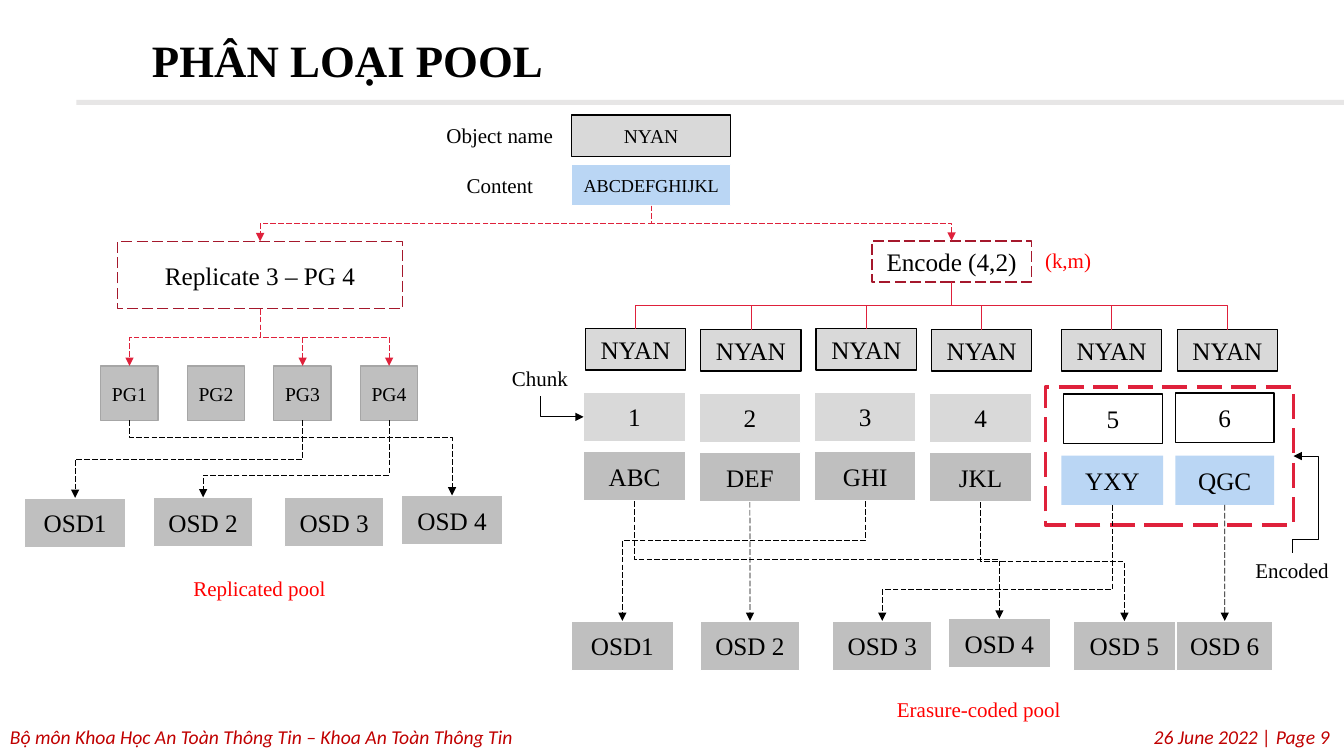
from pptx import Presentation
from pptx.util import Pt
from pptx.dml.color import RGBColor
from pptx.enum.dml import MSO_LINE
from pptx.enum.shapes import MSO_CONNECTOR, MSO_SHAPE
from pptx.enum.text import MSO_ANCHOR, MSO_AUTO_SIZE, PP_ALIGN
from pptx.oxml.ns import qn
from lxml import etree

RECT = MSO_SHAPE.RECTANGLE
ELBOW, STRAIGHT = MSO_CONNECTOR.ELBOW, MSO_CONNECTOR.STRAIGHT
DASH = MSO_LINE.LONG_DASH
MIDDLE, TOP = MSO_ANCHOR.MIDDLE, MSO_ANCHOR.TOP
LEFT, CENTER, RIGHT = PP_ALIGN.LEFT, PP_ALIGN.CENTER, PP_ALIGN.RIGHT
GROW = MSO_AUTO_SIZE.SHAPE_TO_FIT_TEXT

BLACK, WHITE, RED = "000000", "FFFFFF", "FF0000"
PALE, GREY, EDGE, BLUE = "D9D9D9", "BFBFBF", "A6A6A6", "BAD6F4"
ROSE, WINE, FOOT = "DF213B", "A5182C", "C00000"
SERIF, SANS = "Times New Roman", "Calibri"
BOTTOM, SIDE = 2, 1


def color(code):
    return RGBColor.from_string(code)


class Board:
    def __init__(self, slide):
        self.shapes = slide.shapes

    def words(self, frame, text, size, ink, align, font=SERIF):
        frame.text = text
        para = frame.paragraphs[0]
        para.alignment = align
        para.font.name, para.font.size = font, Pt(size)
        para.font.color.rgb = color(ink)
        return para

    def box(self, x, y, w, h, text="", fill=GREY, line=WHITE, size=18, dash=None, width=1):
        box = self.shapes.add_shape(RECT, Pt(x), Pt(y), Pt(w), Pt(h))
        box.shadow.inherit = False
        box.fill.solid()
        box.fill.fore_color.rgb = color(fill)
        if line:
            box.line.color.rgb = color(line)
            box.line.width = Pt(width)
            box.line.dash_style = dash
        else:
            box.line.fill.background()
        if text:
            self.words(box.text_frame, text, size, BLACK, CENTER)
            box.text_frame.vertical_anchor = MIDDLE
        return box

    def label(self, x, y, w, h, text, size=15, ink=BLACK, align=LEFT,
              font=SERIF, wrap=False, anchor=TOP):
        box = self.shapes.add_textbox(Pt(x), Pt(y), Pt(w), Pt(h))
        frame = box.text_frame
        para = self.words(frame, text, size, ink, align, font)
        frame.word_wrap, frame.vertical_anchor = wrap, anchor
        if not wrap:
            frame.auto_size = GROW
        return box, para

    def style(self, line, ink, dash, arrow):
        line.line.color.rgb = color(ink)
        line.line.width = Pt(0.5)
        line.line.dash_style = dash
        props = line._element.spPr
        if arrow:
            etree.SubElement(props.find(qn("a:ln")), qn("a:tailEnd"), type="triangle")
        etree.SubElement(props, qn("a:effectLst"))

    def drop(self, start, end):
        """Straight arrow from the bottom of one box to the top of another."""
        line = self.shapes.add_connector(STRAIGHT, 0, 0, 0, 0)
        line.begin_connect(start, BOTTOM)
        line.end_connect(end, 0)
        self.style(line, BLACK, DASH, True)

    def bend(self, start, end, ink=BLACK, dash=DASH, arrow=True, sides=(BOTTOM, 0),
             kind="bentConnector3", bends=(0.5,)):
        """Elbow that leaves its start vertically: a level elbow, turned."""
        line = self.shapes.add_connector(ELBOW, 0, 0, 0, 0)
        line.begin_connect(start, sides[0])
        x1, y1 = line.begin_x, line.begin_y
        line.end_connect(end, sides[1])
        x2, y2 = line.end_x, line.end_y
        wide, tall = abs(x2 - x1), abs(y2 - y1)
        up, right = y2 < y1, x2 > x1
        xfrm = line._element.spPr.find(qn("a:xfrm"))
        xfrm.set("rot", str(60000 * (270 if right and not up else 90)))
        xfrm.set("flipH", str(int(right or up)))
        xfrm.set("flipV", str(int(up)))
        line.left, line.top = (x1 + x2 - tall) // 2, (y1 + y2 - wide) // 2
        line.width, line.height = tall, wide
        geom = line._element.spPr.find(qn("a:prstGeom"))
        geom.set("prst", kind)
        guides = geom.find(qn("a:avLst"))
        if guides is None:
            guides = etree.SubElement(geom, qn("a:avLst"))
        for n, share in enumerate(bends, 1):
            etree.SubElement(guides, qn("a:gd"), name=f"adj{n}",
                             fmla=f"val {round(share * 100000)}")
        self.style(line, ink, dash, arrow)


def main():
    deck = Presentation()
    deck.slide_width, deck.slide_height = Pt(960), Pt(540)
    board = Board(deck.slides.add_slide(deck.slide_layouts[6]))
    box, label, bend = board.box, board.label, board.bend

    # Footer and title
    for width, text, align in (
            (960, "Bộ môn Khoa Học An Toàn Thông Tin – Khoa An Toàn Thông Tin", LEFT),
            (957, "26 June 2022 | Page 9", RIGHT)):
        para = label(0, 514.3, width, 24.2, text, 14, FOOT, align, SANS, True)[1]
        para.font.italic = True
    box(54.5, 71.3, 905.5, 3.6, fill="E7E6E6", line=None)
    title = label(101.5, 15.1, 858.5, 60.5, "PHÂN LOẠI POOL", 32, wrap=True, anchor=MIDDLE)[1]
    title.font.bold = True
    title.line_spacing = 0.9

    # Object and the two ways to store it
    label(311.8, 84.2, 91.4, 25.4, "Object name")
    label(326.2, 119.5, 62.6, 25.4, "Content")
    box(408.2, 82.1, 113.8, 29.5, "NYAN", PALE, BLACK, 14)
    content = box(408.2, 117.4, 113.8, 29.5, "ABCDEFGHIJKL", BLUE, WHITE, 13)
    encode = box(622.8, 172, 113.8, 29.5, "Encode (4,2)", WHITE, WINE, dash=DASH)
    copies = box(83.9, 172.4, 203.8, 48.2, "Replicate 3 – PG 4", WHITE, WINE, dash=DASH)
    label(739.4, 173.5, 47.5, 25.4, "(k,m)", ink=RED)
    for way in (encode, copies):
        bend(content, way, ROSE)

    # Replicated pool: placement groups and disks
    groups = [box(72 + 61.8 * n, 261.4, 41, 38.9, f"PG{n + 1}", GREY, EDGE, 14)
              for n in range(4)]
    disks = [box(x, y, w, 35.3, text) for x, y, w, text in (
        (17.3, 355.7, 72.7, "OSD1"), (109.6, 355.3, 71, "OSD 2"),
        (203.2, 355.3, 71, "OSD 3"), (286.6, 353.9, 72.7, "OSD 4"))]
    for n in (0, 2, 3):
        bend(copies, groups[n], ROSE)
    for group, disk, share in ((2, 0, 0.5), (0, 3, 0.23), (3, 1, 0.71)):
        bend(groups[group], disks[disk], bends=(share,))
    label(131, 407.5, 109.4, 25.4, "Replicated pool", ink=RED)

    # Erasure-coded pool: four data chunks
    names, chunks, parts = [], [], []
    for n, text in enumerate(("ABC", "DEF", "GHI", "JKL")):
        x, shift = 416.9 + 82.4 * n, 0.7 * (n % 2)
        names.append(box(x + 1.3, 234.7 + shift, 71.6, 29.5, "NYAN", PALE, BLACK))
        chunks.append(box(x, 280.1 + shift, 72.7, 35.3, str(n + 1), PALE))
        parts.append(box(x, 322.6 + shift, 72.7, 35.3, text))

    # Two encoded chunks in a dashed frame
    frame = box(746.6, 276.5, 177.4, 98.6, fill=WHITE, line=ROSE, dash=DASH, width=2.25)
    for name_x, x, y, code_x, w, number, text in (
            (758.2, 759.6, 281.5, 758.2, 72.7, "5", "YXY"),
            (841, 839.5, 280.8, 839.5, 70.6, "6", "QGC")):
        names.append(box(name_x, 235.4, 71.6, 29.5, "NYAN", PALE, BLACK))
        box(x, y, 70.6, 35.3, number, WHITE, BLACK)
        parts.append(box(code_x, 325.4, w, 35.3, text, BLUE, None))
    for name in names:
        bend(encode, name, ROSE, None, False)

    # Disks of the erasure-coded pool
    stores = [box(x, y, w, 35.3, text) for x, y, w, text in (
        (408.2, 443.5, 72.7, "OSD1"), (500.2, 443.5, 71, "OSD 2"),
        (594.7, 443.5, 71, "OSD 3"), (677.5, 441.9, 72.7, "OSD 4"),
        (766.8, 443.5, 72.7, "OSD 5"), (840.2, 443.5, 69.2, "OSD 6"))]
    for part, store, share in ((0, 3, 0.5), (2, 0, 0.33), (3, 4, 0.5), (4, 2, 0.73)):
        bend(parts[part], stores[store], bends=(share,))
    for n in (1, 5):
        board.drop(parts[n], stores[n])
    label(633.6, 493.9, 132.5, 25.4, "Erasure-coded pool", ink=RED)

    # Callouts
    chunk = label(358.6, 257.8, 54.7, 25.4, "Chunk")[0]
    bend(chunk, chunks[0], dash=None, sides=(BOTTOM, SIDE), kind="bentConnector2", bends=())
    coded = label(889.6, 394.9, 67, 25.4, "Encoded")[0]
    bend(coded, frame, dash=None, sides=(0, 3), kind="bentConnector4", bends=(0.14, 20.8))

    deck.save("out.pptx")


if __name__ == "__main__":
    main()
